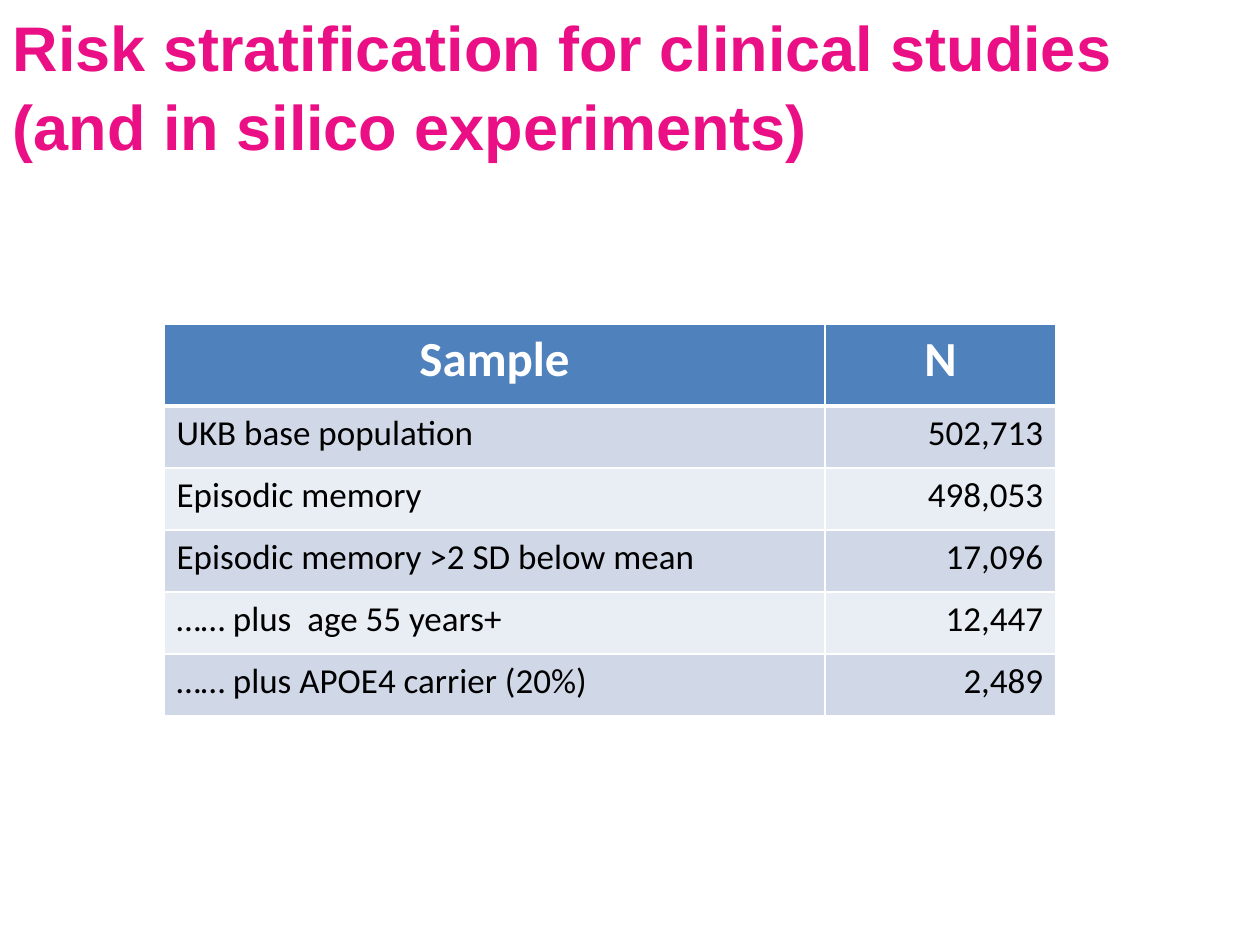
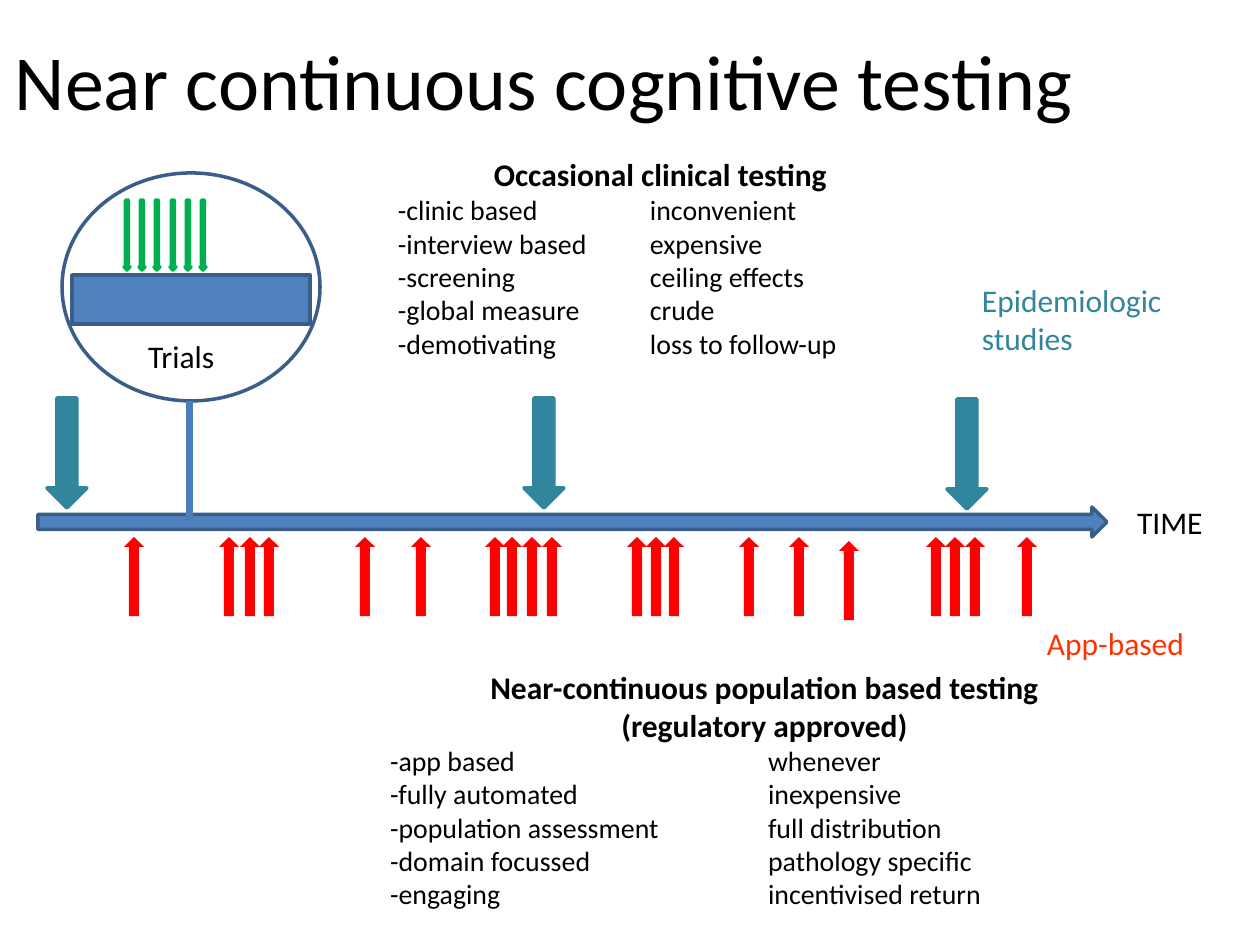
import pptx
import pptx.util
import pptx.dml.color
import pptx.enum.shapes
import pptx.enum.text
import lxml.etree
from pptx.oxml.ns import qn

RGBColor = pptx.dml.color.RGBColor
SHAPE = pptx.enum.shapes.MSO_SHAPE
ALIGN = pptx.enum.text.PP_ALIGN
ANCHOR = pptx.enum.text.MSO_ANCHOR
Pt = pptx.util.Pt

PX = 914400 / 126
BLACK = RGBColor(0x00, 0x00, 0x00)
WHITE = RGBColor(0xFF, 0xFF, 0xFF)
PINK = RGBColor(0xEB, 0x0F, 0x86)
BLUE = RGBColor(0x4F, 0x81, 0xBD)
NAVY = RGBColor(0x3A, 0x5E, 0x8A)
STEM_BLUE = RGBColor(0x4A, 0x7E, 0xBB)
BAND_DARK = RGBColor(0xD0, 0xD8, 0xE8)
BAND_LIGHT = RGBColor(0xE9, 0xED, 0xF4)
TEAL = RGBColor(0x31, 0x85, 0x9C)
GREEN = RGBColor(0x00, 0xB0, 0x50)
RED = RGBColor(0xFF, 0x00, 0x00)
ORANGE = RGBColor(0xFF, 0x33, 0x00)


def add_text(s, box, lines, size, color=BLACK, font="Calibri", bold=False,
             inset=(6, 6), anchor=ANCHOR.TOP, wrap=True, heads=0, tab=0, spacing=None):
    tf = s.shapes.add_textbox(*[int(v * PX) for v in box]).text_frame
    tf.word_wrap = wrap
    tf.vertical_anchor = anchor
    tf.margin_left = tf.margin_right = int(inset[0] * PX)
    tf.margin_top = tf.margin_bottom = int(inset[1] * PX)
    for i, line in enumerate(lines):
        p = tf.paragraphs[0] if i == 0 else tf.add_paragraph()
        p.line_spacing = spacing
        is_head = i < heads
        if is_head:
            p.alignment = ALIGN.CENTER
        elif tab:
            stops = lxml.etree.SubElement(p._p.get_or_add_pPr(), qn("a:tabLst"))
            lxml.etree.SubElement(stops, qn("a:tab"), pos=str(int(tab * PX)), algn="l")
        r = p.add_run()
        r.text = line
        r.font.name = font
        r.font.size = Pt(18 if is_head else size)
        r.font.bold = bold or is_head
        r.font.color.rgb = color


def add_solid(s, kind, box, fill, line=None):
    sp = s.shapes.add_shape(kind, *[int(v * PX) for v in box])
    sp.shadow.inherit = False
    sp.fill.solid()
    sp.fill.fore_color.rgb = fill
    if line is None:
        sp.line.fill.background()
    else:
        sp.line.color.rgb = line
        sp.line.width = Pt(2)


prs = pptx.Presentation()
prs.slide_width = int(1260 * PX)
prs.slide_height = int(945 * PX)
blank = prs.slide_layouts[6]

s = prs.slides.add_slide(blank)
add_text(s, (0, 5, 1260, 158),
         ["Risk stratification for clinical studies", "(and in silico experiments)"],
         36, PINK, "Arial", True, inset=(13, 6), anchor=ANCHOR.MIDDLE, spacing=1.05)

samples = [
    ("Sample", "N"),
    ("UKB base population", "502,713"),
    ("Episodic memory", "498,053"),
    ("Episodic memory >2 SD below mean", "17,096"),
    ("…… plus  age 55 years+", "12,447"),
    ("…… plus APOE4 carrier (20%)", "2,489"),
]
table = s.shapes.add_table(len(samples), 2, *[int(v * PX) for v in (164, 324, 892, 392)]).table
for column, width in zip(table.columns, (661, 231)):
    column.width = int(width * PX)
for row, values in enumerate(samples):
    table.rows[row].height = int((62 if row else 82) * PX)
    for col, value in enumerate(values):
        cell = table.cell(row, col)
        cell.fill.solid()
        cell.fill.fore_color.rgb = (BAND_DARK if row % 2 else BAND_LIGHT) if row else BLUE
        tcPr = cell._tc.get_or_add_tcPr()
        for i, side in enumerate(("lnL", "lnR", "lnT", "lnB")):
            thick = (row, side) in ((0, "lnB"), (1, "lnT"))
            ln = lxml.etree.Element(qn("a:" + side), w=str(Pt(3 if thick else 1)))
            paint = lxml.etree.SubElement(ln, qn("a:solidFill"))
            lxml.etree.SubElement(paint, qn("a:srgbClr"), val=str(WHITE))
            tcPr.insert(i, ln)
        p = cell.text_frame.paragraphs[0]
        p.alignment = (ALIGN.RIGHT if col else ALIGN.LEFT) if row else ALIGN.CENTER
        r = p.add_run()
        r.text = value
        r.font.name = "Calibri"
        r.font.size = Pt(20 if row else 28)
        r.font.bold = row == 0
        r.font.color.rgb = BLACK if row else WHITE

s = prs.slides.add_slide(blank)
add_text(s, (15, 0, 1221, 158), ["Near continuous cognitive testing"], 44.5,
         inset=(0, 0), anchor=ANCHOR.MIDDLE)

add_solid(s, SHAPE.RIGHT_ARROW, (38, 507, 1069, 30), BLUE, NAVY)
for left, top in ((47, 398), (524, 398), (947, 399)):
    add_solid(s, SHAPE.DOWN_ARROW, (left, top, 40, 110), TEAL, TEAL)

add_solid(s, SHAPE.OVAL, (62, 173, 258, 228), WHITE, NAVY)
add_solid(s, SHAPE.RECTANGLE, (72, 275, 238, 49), BLUE, NAVY)
for left in (124, 139, 154, 170, 185, 200):
    add_solid(s, SHAPE.DOWN_ARROW, (left, 200, 6, 70), GREEN, GREEN)

stem = s.shapes.add_connector(pptx.enum.shapes.MSO_CONNECTOR.STRAIGHT,
                              *[int(v * PX) for v in (190, 401, 190, 522)])
stem.line.color.rgb = STEM_BLUE
stem.line.width = Pt(4)
lxml.etree.SubElement(stem._element.spPr, qn("a:effectLst"))

for left in (124, 219, 240, 259, 355, 411, 485, 502, 522, 542, 627, 646, 664,
             739, 789, 839, 926, 945, 965, 1017):
    add_solid(s, SHAPE.UP_ARROW, (left, 541 if left == 839 else 537, 20, 79), RED)

add_text(s, (392, 149, 544, 219), [
    "Occasional clinical testing ",
    "-clinic based\tinconvenient",
    "-interview based\texpensive",
    "-screening\tceiling effects",
    "-global measure\tcrude",
    "-demotivating\tloss to follow-up",
], 15.9, heads=1, tab=252)
add_text(s, (384, 662, 761, 257), [
    "Near-continuous population based testing",
    "(regulatory approved)",
    "-app based\twhenever",
    "-fully automated\tinexpensive",
    "-population assessment\tfull distribution",
    "-domain focussed\tpathology specific",
    "-engaging\tincentivised return",
], 15.9, heads=2, tab=378)

for box, lines, color in (
    ((1131, 497, 79, 50), ["TIME"], BLACK),
    ((142, 331, 79, 50), ["Trials"], BLACK),
    ((976, 275, 202, 89), ["Epidemiologic", "studies"], TEAL),
    ((1041, 618, 151, 50), ["App-based"], ORANGE),
):
    add_text(s, box, lines, 18, color, wrap=False)

prs.save("out.pptx")
